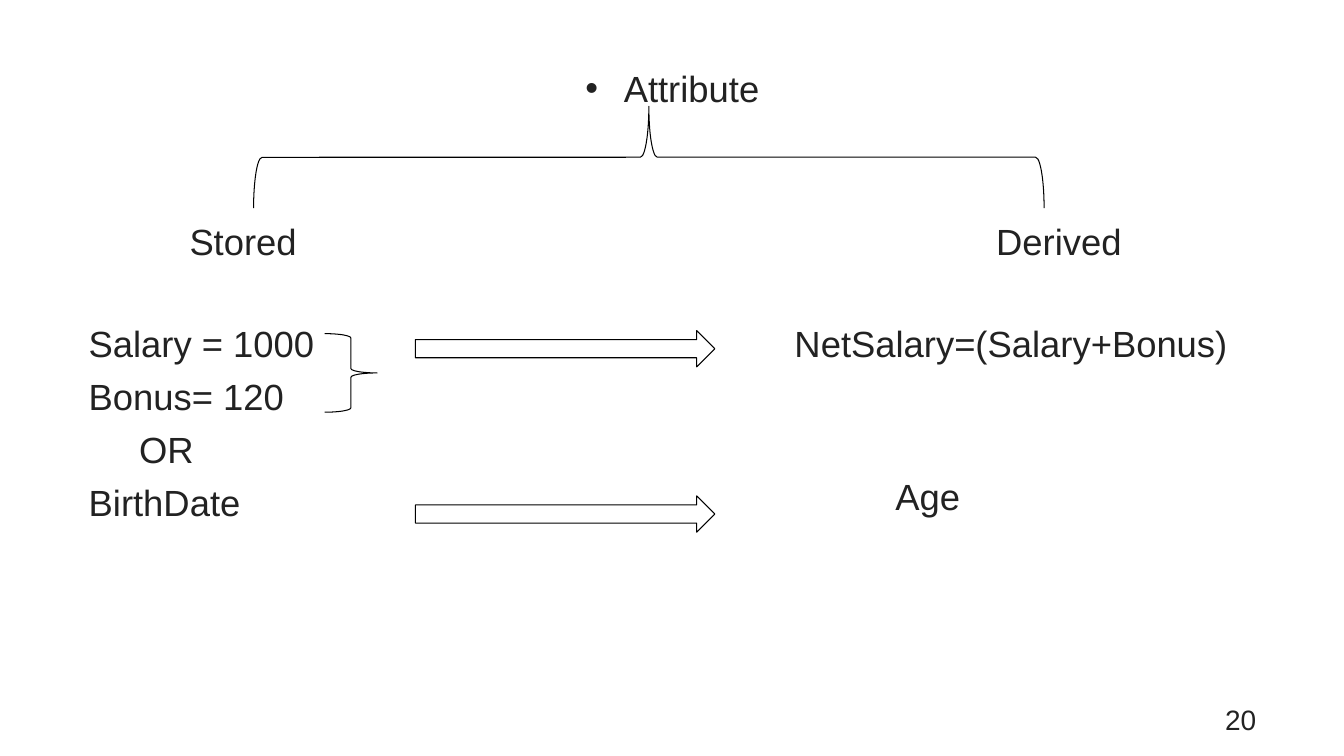
from dataclasses import dataclass

from lxml.etree import SubElement
from pptx import Presentation
from pptx.dml.color import RGBColor
from pptx.enum.shapes import MSO_SHAPE
from pptx.enum.text import PP_ALIGN
from pptx.oxml.ns import qn
from pptx.slide import Slide
from pptx.util import Inches, Pt

TEXT, WHITE, BLACK = "222222", "FFFFFF", "000000"
LEFT, TOP, TAB, PITCH = 0.88, 0.66, 1.0, 0.506


@dataclass
class Label:
    lines: list[str]
    row: int
    tabs: int
    width: float


@dataclass
class Outline:
    kind: MSO_SHAPE
    x: float
    y: float
    w: float
    h: float
    rotation: float = 0


LABELS = [
    Label(["Stored"], 3, 1, 2),
    Label(["Derived"], 3, 9, 2),
    Label(["Salary = 1000", "Bonus= 120", "\tOR", "BirthDate"], 5, 0, 3),
    Label(["NetSalary=(Salary+Bonus)"], 5, 7, 4.68),
    Label(["Age"], 8, 8, 2),
]

OUTLINES = [
    Outline(MSO_SHAPE.LEFT_BRACE, 5.93, -2.36, 1.01, 7.84, 90),
    Outline(MSO_SHAPE.RIGHT_BRACE, 3.22, 3.31, 0.52, 0.78),
    *[Outline(MSO_SHAPE.RIGHT_ARROW, 4.12, y, 2.97, 0.36) for y in (3.28, 4.92)],
]


def rgb(color: str) -> RGBColor:
    return RGBColor.from_string(color)


def add_text(s: Slide, lines: list[str], x: float, y: float, w: float, *,
             size: float = 26, align: PP_ALIGN = PP_ALIGN.LEFT,
             bullet: bool = False) -> None:
    tf = s.shapes.add_textbox(Inches(x), Inches(y), Inches(w),
                              Inches(PITCH * len(lines))).text_frame
    tf.word_wrap = True
    tf.margin_left = tf.margin_right = tf.margin_top = tf.margin_bottom = 0
    for i, line in enumerate(lines):
        p = tf.paragraphs[0] if i == 0 else tf.add_paragraph()
        p.alignment = align
        p.space_after = Pt(6.5)
        if bullet:
            pPr = p._p.get_or_add_pPr()
            pPr.set("marL", str(Inches(0.38)))
            pPr.set("indent", str(-Inches(0.38)))
            SubElement(pPr, qn("a:buFont"), typeface="Arial")
            SubElement(pPr, qn("a:buChar"), char="•")
        r = p.add_run()
        r.text = line
        r.font.name = "Arial"
        r.font.size = Pt(size)
        r.font.color.rgb = rgb(TEXT)


def add_outline(s: Slide, item: Outline) -> None:
    sp = s.shapes.add_shape(item.kind, Inches(item.x), Inches(item.y),
                            Inches(item.w), Inches(item.h))
    sp.rotation = item.rotation
    sp.shadow.inherit = False
    sp.fill.solid()
    sp.fill.fore_color.rgb = rgb(WHITE)
    sp.line.color.rgb = rgb(BLACK)
    sp.line.width = Pt(0.75)


def main() -> None:
    prs = Presentation()
    prs.slide_width, prs.slide_height = Inches(13.33), Inches(7.5)
    s = prs.slides.add_slide(prs.slide_layouts[6])
    add_text(s, ["Attribute"], LEFT, TOP, 11.58, align=PP_ALIGN.CENTER, bullet=True)
    for label in LABELS:
        add_text(s, label.lines, LEFT + label.tabs * TAB,
                 TOP + label.row * PITCH, label.width)
    add_text(s, ["20"], 9.56, 6.97, 2.9, size=20, align=PP_ALIGN.RIGHT)
    for item in OUTLINES:
        add_outline(s, item)
    prs.save("out.pptx")


if __name__ == "__main__":
    main()
